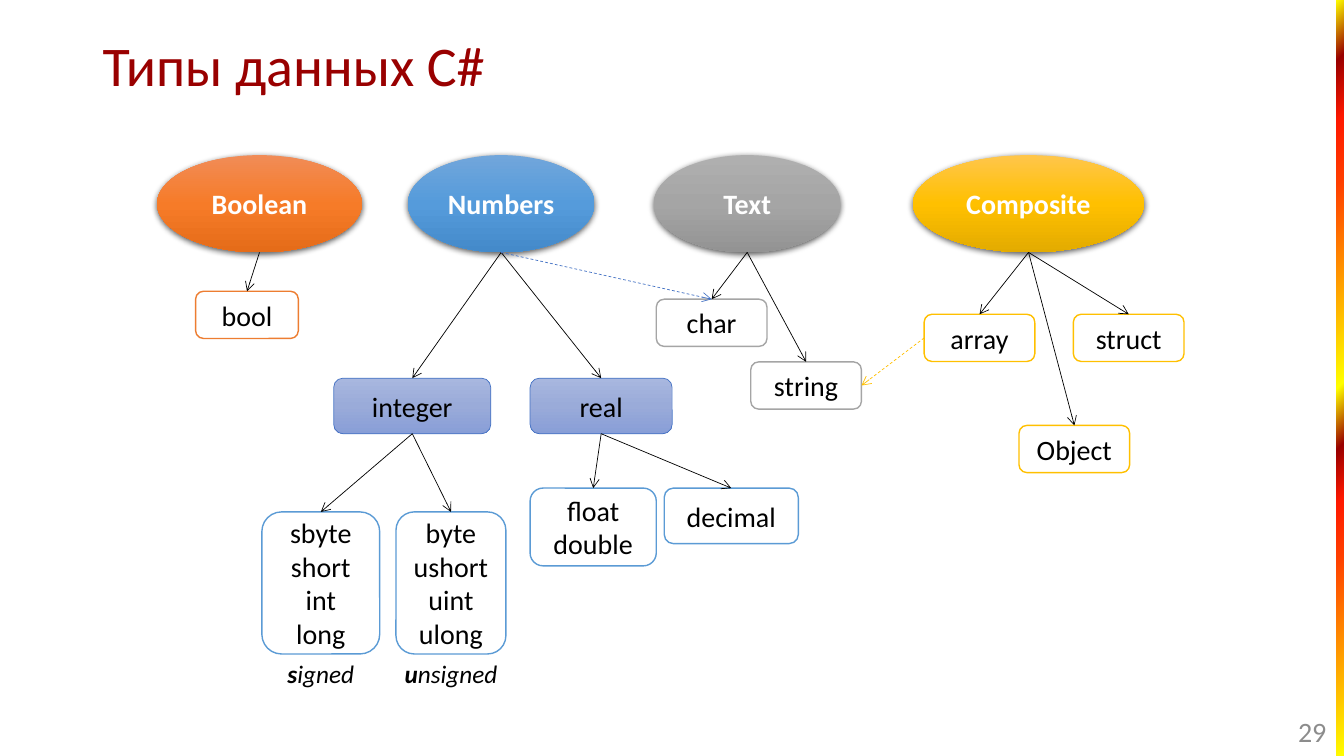
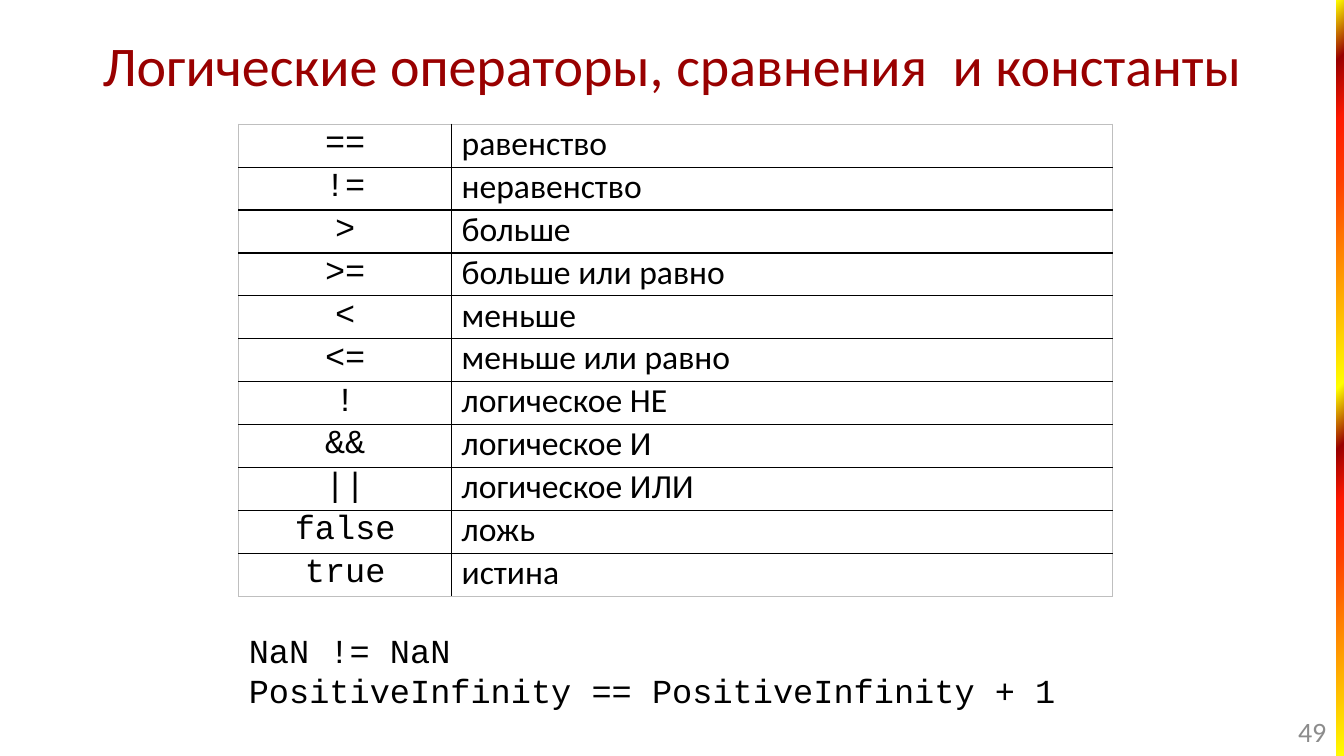
from lxml import etree
from pptx import Presentation
from pptx.dml.color import RGBColor
from pptx.enum.dml import MSO_LINE
from pptx.enum.shapes import MSO_CONNECTOR, MSO_SHAPE
from pptx.enum.text import MSO_ANCHOR, MSO_AUTO_SIZE, PP_ALIGN
from pptx.oxml.ns import qn
from pptx.util import Cm, Pt

OVAL, ROUND, RECT = MSO_SHAPE.OVAL, MSO_SHAPE.ROUNDED_RECTANGLE, MSO_SHAPE.RECTANGLE
LEFT, MID, RIGHT = PP_ALIGN.LEFT, PP_ALIGN.CENTER, PP_ALIGN.RIGHT
MIDDLE, TOP = MSO_ANCHOR.MIDDLE, MSO_ANCHOR.TOP
GROW, FIXED = MSO_AUTO_SIZE.SHAPE_TO_FIT_TEXT, MSO_AUTO_SIZE.NONE
DASH, LINE = MSO_LINE.DASH, MSO_CONNECTOR.STRAIGHT

BLACK = RGBColor(0x00, 0x00, 0x00)
WHITE = RGBColor(0xFF, 0xFF, 0xFF)
MAROON = RGBColor(0x99, 0x00, 0x00)
GREY = RGBColor(0x8C, 0x8C, 0x8C)
SILVER = RGBColor(0xA5, 0xA5, 0xA5)
PALE = RGBColor(0xBF, 0xBF, 0xBF)
ORANGE = RGBColor(0xED, 0x7D, 0x31)
SKY = RGBColor(0x5B, 0x9B, 0xD5)
BLUE = RGBColor(0x44, 0x72, 0xC4)
GOLD = RGBColor(0xFF, 0xC0, 0x00)
SANS, MONO = "Calibri", "Courier New"

# Gradients: (position in percent, colour)
RAIL = [(0, "FFFF00"), (27, "FF3D00"), (34, "FF1900"), (41, "990000"), (49, "FFFF00"),
        (76, "FF3D00"), (84, "FF1900"), (92, "990000"), (100, "FFFF00")]
STEEL = [(0, "A8B7DF"), (50, "9AABD9"), (100, "889ED7")]

# Type tree, in cm
OVAL_Y, OVAL_H = 3.91, 2.45
OVALS = [  # text, left, width, gradient
    ("Boolean", 3.96, 5.16, [(0, "F18C57"), (50, "F67B28"), (100, "E56C19")]),
    ("Numbers", 10.28, 4.7, [(0, "71A6DB"), (50, "559BDB"), (100, "448ACA")]),
    ("Text", 16.48, 4.7, [(0, "AFAFAF"), (50, "A5A5A5"), (100, "939393")]),
    ("Composite", 23.01, 5.82, [(0, "FFC64B"), (50, "FFC000"), (100, "E3AB00")]),
]
BOXES = [  # text, left, top, width, height, line colour
    ("bool", 4.93, 7.34, 2.59, 1.19, ORANGE),
    ("integer", 8.41, 9.53, 3.96, 1.4, BLUE),
    ("real", 13.36, 9.53, 3.58, 1.4, BLUE),
    ("sbyte\nshort\nint\nlong", 6.6, 12.9, 2.97, 3.58, SKY),
    ("byte\nushort\nuint\nulong", 9.98, 12.9, 2.77, 3.58, SKY),
    ("float\ndouble", 13.36, 12.3, 3.18, 1.96, SKY),
    ("decimal", 16.74, 12.3, 3.38, 1.4, SKY),
    ("char", 16.54, 7.54, 2.79, 1.19, SILVER),
    ("string", 18.92, 9.12, 2.79, 1.19, SILVER),
    ("array", 23.29, 7.92, 2.79, 1.19, GOLD),
    ("struct", 27.05, 7.92, 2.79, 1.19, GOLD),
    ("Object", 25.68, 10.72, 2.79, 1.19, GOLD),
]
TREE = {
    "Boolean": ["bool"], "Numbers": ["integer", "real"], "Text": ["char", "string"],
    "Composite": ["array", "struct", "Object"],
    "integer": ["sbyte", "byte"], "real": ["float", "decimal"],
}
SIGNS = [("s", "igned", 6.6, 2.97, 0.25), ("u", "nsigned", 9.98, 2.77, 0.1)]

# Operators
ROWS = [("==", "равенство"), ("!=", "неравенство"), (">", "больше"),
        (">=", "больше или равно"), ("<", "меньше"), ("<=", "меньше или равно"),
        ("!", "логическое НЕ"), ("&&", "логическое И"), ("||", "логическое ИЛИ"),
        ("false", "ложь"), ("true", "истина")]
COLS, ROW_H = (5.36, 16.66), 1.08
NOTE = "NaN != NaN\nPositiveInfinity == PositiveInfinity + 1"


def put(thing, **values):
    for name, value in values.items():
        setattr(thing, name, value)


def place(*sizes):
    return [Cm(size) for size in sizes]


def font(run, color=BLACK, **values):
    put(run.font, **{"name": SANS, "size": Pt(20), **values})
    run.font.color.rgb = color


def write(frame, text, align=LEFT, space=None, **look):
    frame.text = text
    for para in frame.paragraphs:
        para.alignment = align
        if space:
            para.line_spacing = space
        for run in para.runs:
            font(run, **look)


def sub(node, tag, **attrs):
    return etree.SubElement(node, qn(tag), {key: str(val) for key, val in attrs.items()})


def blend(shape, stops, angle=90):
    shape.fill.gradient()
    grad = shape.element.spPr.find(qn("a:gradFill"))
    for child in list(grad):
        grad.remove(child)
    group = sub(grad, "a:gsLst")
    for pos, color in stops:
        sub(sub(group, "a:gs", pos=pos * 1000), "a:srgbClr", val=color)
    sub(grad, "a:lin", ang=angle * 60000, scaled=0)


def block(slide, kind, at, text=""):
    shape = slide.shapes.add_shape(kind, *place(*at))
    shape.shadow.inherit = False
    shape.line.fill.background()
    put(shape.text_frame, margin_left=0, margin_right=0, word_wrap=True,
        vertical_anchor=MIDDLE)
    if text:
        write(shape.text_frame, text, MID)
    return shape


def label(slide, at, text, anchor=TOP, fit=GROW, **look):
    frame = slide.shapes.add_textbox(*place(*at)).text_frame
    put(frame, word_wrap=True, auto_size=fit, vertical_anchor=anchor)
    write(frame, text, **look)
    return frame


def arrow(slide, start, end, sides=(2, 0), color=BLACK, dash=None):
    # Ovals are met at the bottom by position, boxes are joined
    x, y = start.left + start.width // 2, start.top + start.height
    link = slide.shapes.add_connector(LINE, x, y, end.left, end.top)
    if start.auto_shape_type == ROUND:
        link.begin_connect(start, sides[0])
    link.end_connect(end, sides[1])
    put(link.line, width=Pt(0.5), dash_style=dash)
    link.line.color.rgb = color
    sub(link.line._get_or_add_ln(), "a:tailEnd", type="arrow")
    sub(link.element.spPr, "a:effectLst")


def border(cell, colors):
    props = cell._tc.get_or_add_tcPr()
    for spot, (side, color) in enumerate(zip("LRTB", colors)):
        edge = sub(props, "a:ln" + side, w=Pt(1))
        sub(sub(edge, "a:solidFill"), "a:srgbClr", val=color)
        props.insert(spot, edge)


def page(deck, title, number):
    slide = deck.slides.add_slide(deck.slide_layouts[5])
    frame = slide.shapes.title.text_frame
    put(frame, vertical_anchor=MIDDLE, auto_size=FIXED, word_wrap=True)
    write(frame, title, space=0.9, size=Pt(40), color=MAROON)
    label(slide, (30.99, 17.91, 2.69, 1.02), number, MIDDLE, FIXED, align=RIGHT, color=GREY)
    return slide


def brand(deck, slide):
    # Side rail goes to the master
    rail = block(slide, RECT, (33.68, 0, 0.19, 19.05))
    blend(rail, RAIL, 225)
    rail.element.nvSpPr.cNvPr.set("id", "99")
    deck.slide_master.shapes.element.insert(2, rail.element)


def types(slide):
    nodes = {}
    for text, left, width, stops in OVALS:
        oval = nodes[text] = block(slide, OVAL, (left, OVAL_Y, width, OVAL_H), text)
        blend(oval, stops)
        font(oval.text_frame.paragraphs[0].runs[0], WHITE, bold=True)
        glow = sub(oval.element.spPr.find(qn("a:effectLst")), "a:outerShdw",
                   blurRad=Pt(4.5), dist=Pt(1.5), dir=5400000, algn="ctr", rotWithShape=0)
        sub(sub(glow, "a:srgbClr", val="000000"), "a:alpha", val=63000)
    for text, *at, color in BOXES:
        box = nodes[text.split()[0]] = block(slide, ROUND, at, text)
        put(box.text_frame, margin_top=0, margin_bottom=0)
        box.line.color.rgb = color
        if color == BLUE:
            blend(box, STEEL)
            box.line.width = Pt(0.5)
        else:
            box.fill.solid()
            box.fill.fore_color.rgb = WHITE
            box.line.width = Pt(1)
    for start, ends in TREE.items():
        for end in ends:
            arrow(slide, nodes[start], nodes[end])
    arrow(slide, nodes["Numbers"], nodes["char"], color=BLUE, dash=DASH)
    arrow(slide, nodes["array"], nodes["string"], (1, 3), GOLD, DASH)
    # Captions with a bold first letter
    for head, tail, left, width, pad in SIGNS:
        frame = label(slide, (left, 16.46, width, 1.02), head, align=MID,
                      size=Pt(18), bold=True, italic=True)
        put(frame, margin_left=Cm(pad), margin_right=Cm(pad))
        rest = frame.paragraphs[0].add_run()
        rest.text = tail
        font(rest, size=Pt(18), bold=False, italic=True)


def signs(slide):
    count = len(ROWS)
    grid = slide.shapes.add_table(
        count, 2, *place(6.02, 3.13, sum(COLS), ROW_H * count)).table
    put(grid, first_row=False, horz_banding=False)
    for col, width in zip(grid.columns, COLS):
        col.width = Cm(width)
    for r, row in enumerate(ROWS):
        grid.rows[r].height = Cm(ROW_H)
        for c, (text, align, name) in enumerate(zip(row, (MID, LEFT), (MONO, SANS))):
            cell = grid.cell(r, c)
            write(cell.text_frame, text, align, 0.8, size=Pt(24), name=name)
            cell.fill.background()
            outer = (c == 0, c == 1, r == 0, r == count - 1)
            border(cell, [PALE if edge else BLACK for edge in outer])
    label(slide, (6.02, 15.75, 21.51, 2.31), NOTE, size=Pt(24), name=MONO)


def main():
    deck = Presentation()
    put(deck, slide_width=Cm(33.87), slide_height=Cm(19.05))
    left, top, width, height = place(2.33, 0.38, 29.21, 2.69)
    put(deck.slide_master.placeholders[0], left=left, top=top, width=width, height=height)
    first = page(deck, "Типы данных C#", "29")
    brand(deck, first)
    types(first)
    signs(page(deck, "Логические операторы, сравнения  и константы", "49"))
    deck.save("out.pptx")


if __name__ == "__main__":
    main()
